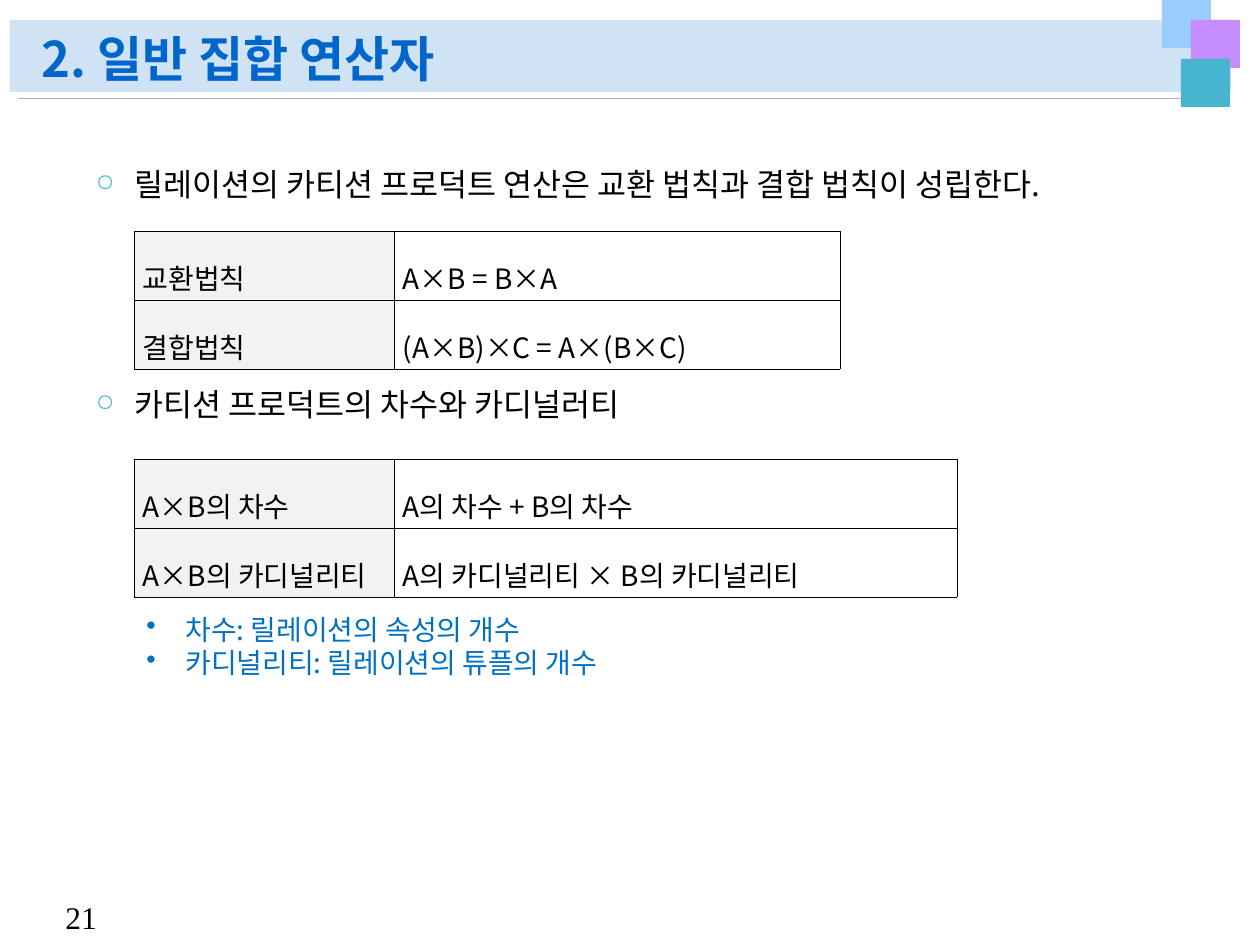
from lxml import etree
from pptx import Presentation
from pptx.dml.color import RGBColor
from pptx.enum.shapes import MSO_CONNECTOR, MSO_SHAPE
from pptx.enum.text import MSO_ANCHOR, PP_ALIGN
from pptx.oxml.ns import qn
from pptx.util import Emu, Pt

RECTANGLE = MSO_SHAPE.RECTANGLE
STRAIGHT = MSO_CONNECTOR.STRAIGHT
TOP, MIDDLE, BOTTOM = MSO_ANCHOR.TOP, MSO_ANCHOR.MIDDLE, MSO_ANCHOR.BOTTOM
JUSTIFY = PP_ALIGN.JUSTIFY
EMU_PER_PX = 914400 / 126
KOREAN = "Noto Sans CJK KR"
BLACK = "000000"
HANGING = 39
TABLE_LEFT = 134
ROW_HEIGHT = 69
LABEL_WIDTH = 260


def px(length):
    return Emu(round(length * EMU_PER_PX))


def color(value):
    return RGBColor.from_string(value)


def style_paragraph(paragraph, size, font_color, name=KOREAN, bold=False):
    for run in paragraph.runs:
        run.font.name = name
        run.font.size = Pt(size)
        run.font.bold = bold
        run.font.color.rgb = color(font_color)
        east_asian = etree.SubElement(run._r.get_or_add_rPr(), qn("a:ea"))
        east_asian.set("typeface", name)


def add_bullet(paragraph, character, bullet_color=None, percent=100):
    properties = paragraph._p.get_or_add_pPr()
    properties.set("marL", str(px(HANGING)))
    properties.set("indent", str(-px(HANGING)))
    if bullet_color:
        holder = etree.SubElement(properties, qn("a:buClr"))
        etree.SubElement(holder, qn("a:srgbClr")).set("val", bullet_color)
    etree.SubElement(properties, qn("a:buSzPct")).set("val", str(percent * 1000))
    etree.SubElement(properties, qn("a:buChar")).set("char", character)


def add_rectangle(slide, left, top, width, height, fill):
    shape = slide.shapes.add_shape(RECTANGLE, px(left), px(top), px(width), px(height))
    shape.shadow.inherit = False
    shape.fill.solid()
    shape.fill.fore_color.rgb = color(fill)
    shape.line.fill.background()


def add_rule(slide, left, right, y):
    connector = slide.shapes.add_connector(STRAIGHT, px(left), px(y), px(right), px(y))
    connector.line.color.rgb = color("B2B2B2")
    connector.line.width = Pt(0.5)
    etree.SubElement(connector._element.spPr, qn("a:effectLst"))


def add_text(slide, left, top, width, height, text, anchor=TOP):
    box = slide.shapes.add_textbox(px(left), px(top), px(width), px(height))
    text_frame = box.text_frame
    text_frame.word_wrap = True
    text_frame.vertical_anchor = anchor
    text_frame.text = text
    return text_frame


def add_heading(slide, top, text):
    text_frame = add_text(slide, 96, top, 1122, 46, text)
    text_frame.margin_left = text_frame.margin_top = text_frame.margin_bottom = 0
    paragraph = text_frame.paragraphs[0]
    add_bullet(paragraph, "○", "47B5CF", 75)
    style_paragraph(paragraph, 18, BLACK)


def add_borders(cell):
    properties = cell._tc.get_or_add_tcPr()
    for index, side in enumerate(("lnL", "lnR", "lnT", "lnB")):
        line = etree.Element(qn(f"a:{side}"), w=str(Pt(0.28)))
        fill = etree.SubElement(line, qn("a:solidFill"))
        etree.SubElement(fill, qn("a:srgbClr")).set("val", BLACK)
        properties.insert(index, line)


def fill_cell(cell, text, is_label):
    cell.text = text
    cell.vertical_anchor = MIDDLE
    cell.margin_left = cell.margin_right = px(9)
    cell.margin_top = cell.margin_bottom = px(2)
    if is_label:
        cell.fill.solid()
        cell.fill.fore_color.rgb = color("F2F2F2")
    else:
        cell.fill.background()
    add_borders(cell)
    paragraph = cell.text_frame.paragraphs[0]
    paragraph.alignment = JUSTIFY
    paragraph.line_spacing = 1.6
    style_paragraph(paragraph, 16, BLACK)


def add_rule_table(slide, top, value_width, rows):
    widths = (LABEL_WIDTH, value_width)
    table = slide.shapes.add_table(
        len(rows), len(widths), px(TABLE_LEFT), px(top),
        px(sum(widths)), px(ROW_HEIGHT * len(rows))).table
    table.first_row = table.horz_banding = False
    for column, width in zip(table.columns, widths):
        column.width = px(width)
    for row_index, texts in enumerate(rows):
        table.rows[row_index].height = px(ROW_HEIGHT)
        for column_index, text in enumerate(texts):
            fill_cell(table.cell(row_index, column_index), text, column_index == 0)


def add_definitions(slide, lines):
    text_frame = add_text(slide, TABLE_LEFT, 606, 535, 81, "\n".join(lines))
    for paragraph in text_frame.paragraphs:
        add_bullet(paragraph, "•")
        style_paragraph(paragraph, 16, "0070C0")


def add_frame(slide):
    add_rectangle(slide, 10, 20, 1221, 72, "D0E3F5")
    add_rule(slide, 18, 1227, 98)
    for left, top, fill in ((1162, 0, "99CCFF"), (1191, 20, "C68DFF"), (1181, 59, "47B5CF")):
        add_rectangle(slide, left, top, 49, 48, fill)
    number = add_text(slide, 53, 892, 63, 50, "21")
    style_paragraph(number.paragraphs[0], 18, BLACK, "Times New Roman")


def add_title(slide, text):
    paragraph = add_text(slide, 29, 21, 1131, 73, text, BOTTOM).paragraphs[0]
    paragraph.line_spacing = 0.9
    style_paragraph(paragraph, 28, "0066CC", bold=True)


def main():
    presentation = Presentation()
    presentation.slide_width, presentation.slide_height = px(1260), px(945)
    slide = presentation.slides.add_slide(presentation.slide_layouts[6])
    add_frame(slide)
    add_title(slide, "2. 일반 집합 연산자")
    add_heading(slide, 165, "릴레이션의 카티션 프로덕트 연산은 교환 법칙과 결합 법칙이 성립한다.")
    add_rule_table(slide, 231, 446, (
        ("교환법칙", "A×B = B×A"),
        ("결합법칙", "(A×B)×C = A×(B×C)"),
    ))
    add_heading(slide, 385, "카티션 프로덕트의 차수와 카디널러티")
    add_rule_table(slide, 459, 563, (
        ("A×B의 차수", "A의 차수 + B의 차수"),
        ("A×B의 카디널리티", "A의 카디널리티 × B의 카디널리티"),
    ))
    add_definitions(slide, ("차수: 릴레이션의 속성의 개수", "카디널리티: 릴레이션의 튜플의 개수"))
    presentation.save("out.pptx")


if __name__ == "__main__":
    main()
